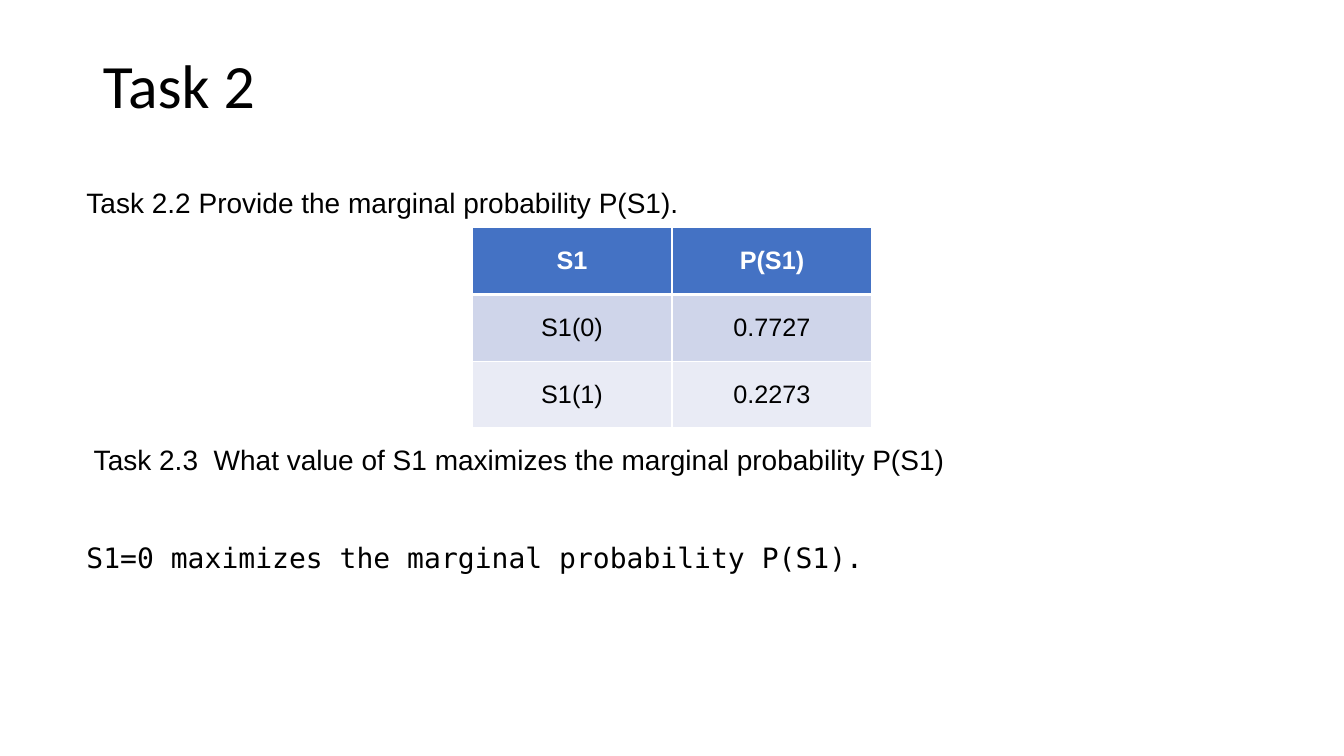
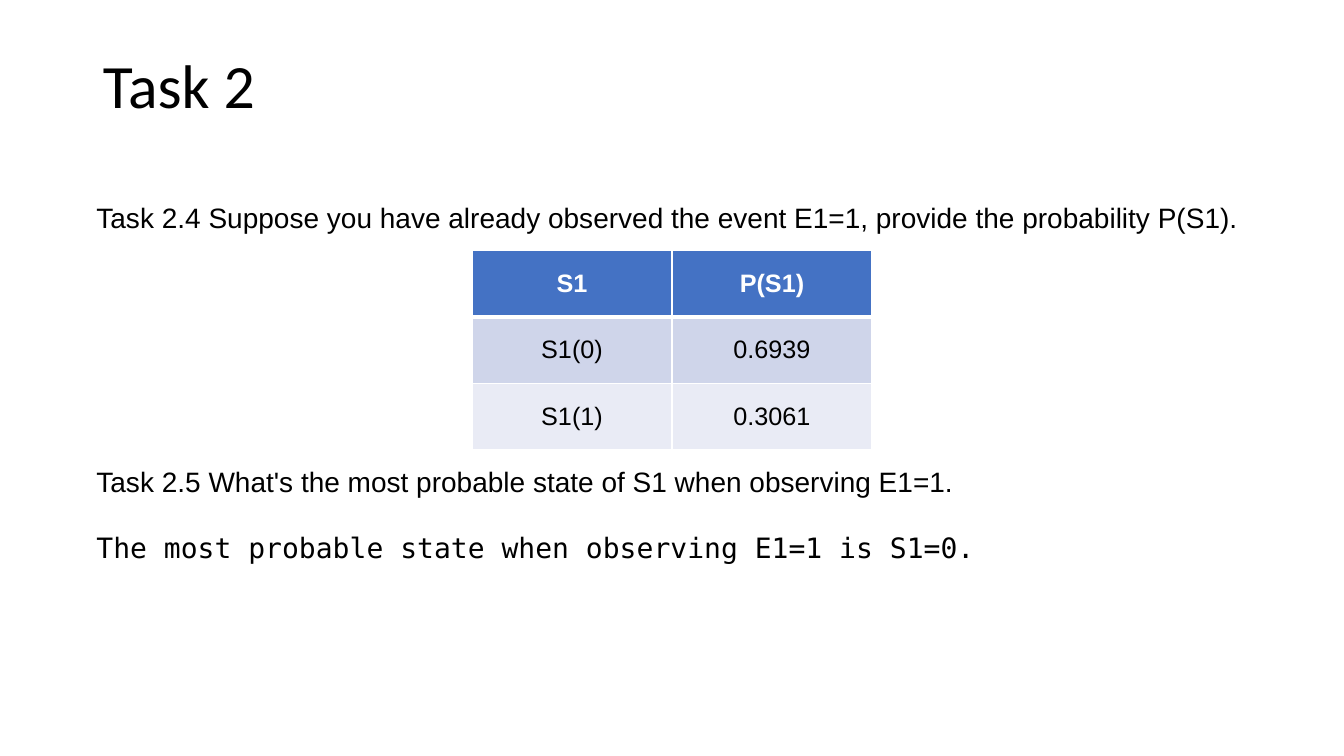
from lxml import etree
from pptx import Presentation
from pptx.dml.color import RGBColor
from pptx.enum.text import MSO_ANCHOR, MSO_AUTO_SIZE, PP_ALIGN
from pptx.oxml.ns import qn
from pptx.util import Cm, Pt

LEFT, CENTER = PP_ALIGN.LEFT, PP_ALIGN.CENTER
MIDDLE = MSO_ANCHOR.MIDDLE
GROW = MSO_AUTO_SIZE.SHAPE_TO_FIT_TEXT
TITLE_ONLY = 5

# Shared look
COLORS = {"text": "000000", "white": "FFFFFF", "header": "4472C4",
          "band_dark": "CFD5EA", "band_light": "E9EBF5"}
TITLE_FONT, BODY_FONT, ANSWER_FONT = "Calibri", "Arial", "DejaVu Sans Mono"
SLIDE_W, SLIDE_H = 33.87, 19.05
COLUMN_W, ROW_H = 5.04, 1.68
ROW_FILLS = ["header", "band_dark", "band_light"]
LINE_PT = 23

# Content; lengths in centimetres
TASKS = [
    {"left": 1.93,
     "question": "Task 2.2 Provide the marginal probability P(S1).",
     "question_top": 4.55, "question_width": 15.65,
     "table_top": 5.74, "probabilities": ["0.7727", "0.2273"],
     "follow_up": " Task 2.3  What value of S1 maximizes the marginal probability P(S1)",
     "answer": "S1=0 maximizes the marginal probability P(S1).",
     "answer_top": 11.02, "answer_width": 23.14, "gap_lines": 2},
    {"left": 2.18,
     "question": "Task 2.4 Suppose you have already observed the event E1=1, "
                 "provide the probability P(S1).",
     "question_top": 4.93, "question_width": 29.49,
     "table_top": 6.3, "probabilities": ["0.6939", "0.3061"],
     "follow_up": "Task 2.5 What's the most probable state of S1 when observing E1=1.",
     "answer": "The most probable state when observing E1=1 is S1=0.",
     "answer_top": 11.58, "answer_width": 29.49, "gap_lines": 1},
]


def rgb(name):
    return RGBColor.from_string(COLORS[name])


def style_runs(paragraph, font, size, color="text", bold=False):
    for run in paragraph.runs:
        run.font.name = font
        run.font.size = Pt(size)
        run.font.bold = bold
        run.font.color.rgb = rgb(color)


def add_title(slide, text):
    title = slide.shapes.title
    title.left, title.top = Cm(2.34), Cm(1.02)
    title.width, title.height = Cm(29.21), Cm(2.41)
    frame = title.text_frame
    frame.text = text
    frame.vertical_anchor = MIDDLE
    heading = frame.paragraphs[0]
    heading.alignment = LEFT
    heading.line_spacing = 0.9
    style_runs(heading, TITLE_FONT, 44)


def add_text(slide, left, top, width, lines, gap_lines=0):
    """Each line is (text, font); gap_lines sets the space between lines."""
    height = (len(lines) + gap_lines * (len(lines) - 1)) * LINE_PT / 72 * 2.54 + 0.25
    frame = slide.shapes.add_textbox(Cm(left), Cm(top), Cm(width), Cm(height)).text_frame
    frame.word_wrap = True
    frame.auto_size = GROW
    frame.text = "\n".join(text for text, _ in lines)
    for index, (paragraph, (_, font)) in enumerate(zip(frame.paragraphs, lines)):
        if index:
            paragraph.space_before = Pt(gap_lines * LINE_PT)
        style_runs(paragraph, font, 20)


def set_borders(cell, bottom_pt):
    properties = cell._tc.get_or_add_tcPr()
    widths = {"a:lnL": 1, "a:lnR": 1, "a:lnT": 1, "a:lnB": bottom_pt}
    for position, (side, width) in enumerate(widths.items()):
        line = etree.Element(qn(side), w=str(Pt(width)))
        fill = etree.SubElement(line, qn("a:solidFill"))
        etree.SubElement(fill, qn("a:srgbClr"), val=COLORS["white"])
        properties.insert(position, line)


def add_probability_table(slide, top, probabilities):
    rows = [("S1", "P(S1)")]
    rows += [(f"S1({state})", value) for state, value in enumerate(probabilities)]
    width = 2 * COLUMN_W
    table = slide.shapes.add_table(len(rows), 2, Cm((SLIDE_W - width) / 2), Cm(top),
                                   Cm(width), Cm(ROW_H * len(rows))).table
    for r, (values, fill) in enumerate(zip(rows, ROW_FILLS)):
        is_header = r == 0
        for c, value in enumerate(values):
            cell = table.cell(r, c)
            cell.fill.solid()
            cell.fill.fore_color.rgb = rgb(fill)
            cell.vertical_anchor = MIDDLE
            cell.text_frame.text = value
            label = cell.text_frame.paragraphs[0]
            label.alignment = CENTER
            style_runs(label, BODY_FONT, 18, "white" if is_header else "text", is_header)
            set_borders(cell, 3 if is_header else 1)


def add_task_slide(deck, task):
    slide = deck.slides.add_slide(deck.slide_layouts[TITLE_ONLY])
    add_title(slide, "Task 2")
    add_text(slide, task["left"], task["question_top"], task["question_width"],
             [(task["question"], BODY_FONT)])
    add_text(slide, task["left"], task["answer_top"], task["answer_width"],
             [(task["follow_up"], BODY_FONT), (task["answer"], ANSWER_FONT)],
             task["gap_lines"])
    add_probability_table(slide, task["table_top"], task["probabilities"])


def main():
    deck = Presentation()
    deck.slide_width, deck.slide_height = Cm(SLIDE_W), Cm(SLIDE_H)
    for task in TASKS:
        add_task_slide(deck, task)
    deck.save("out.pptx")


main()
